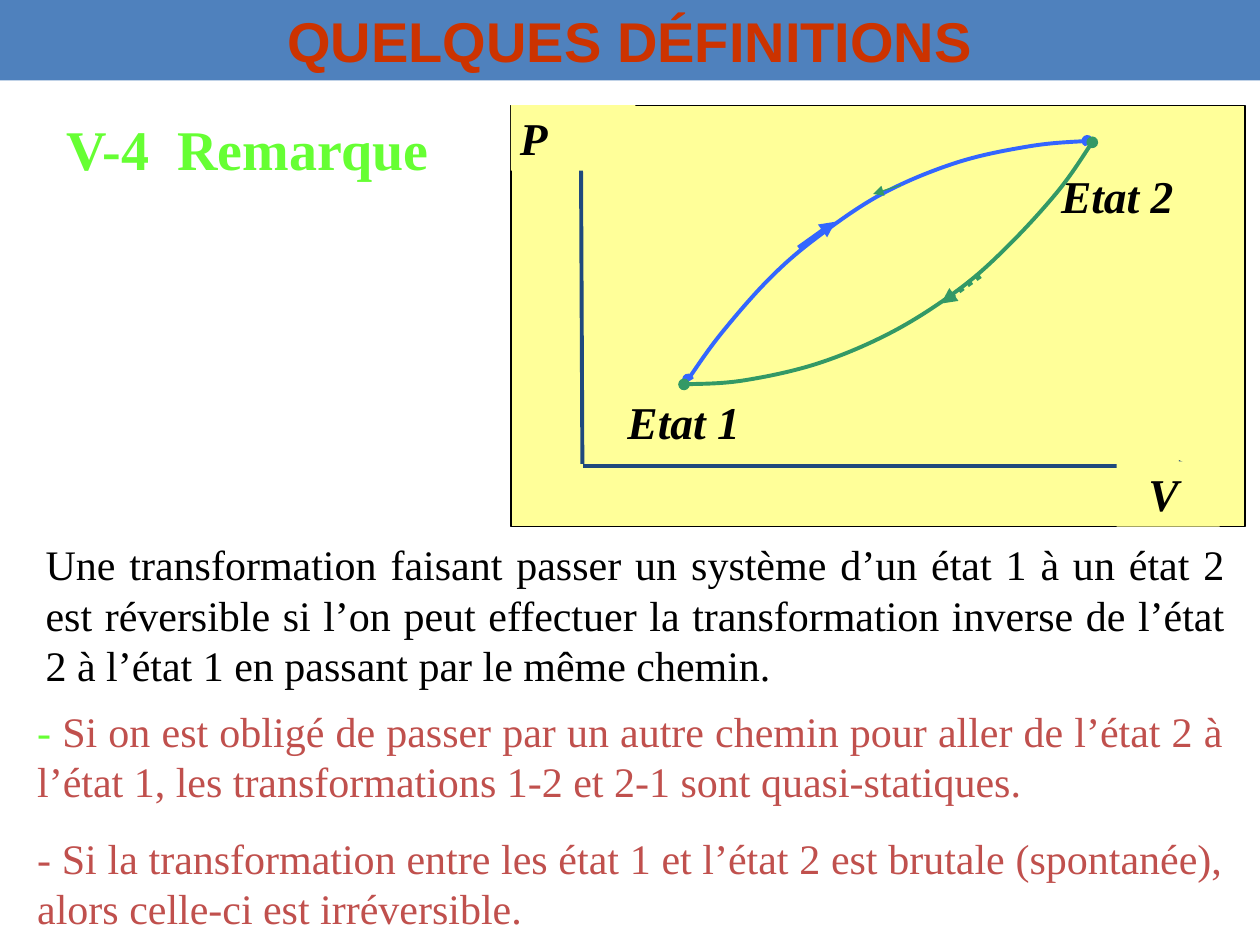
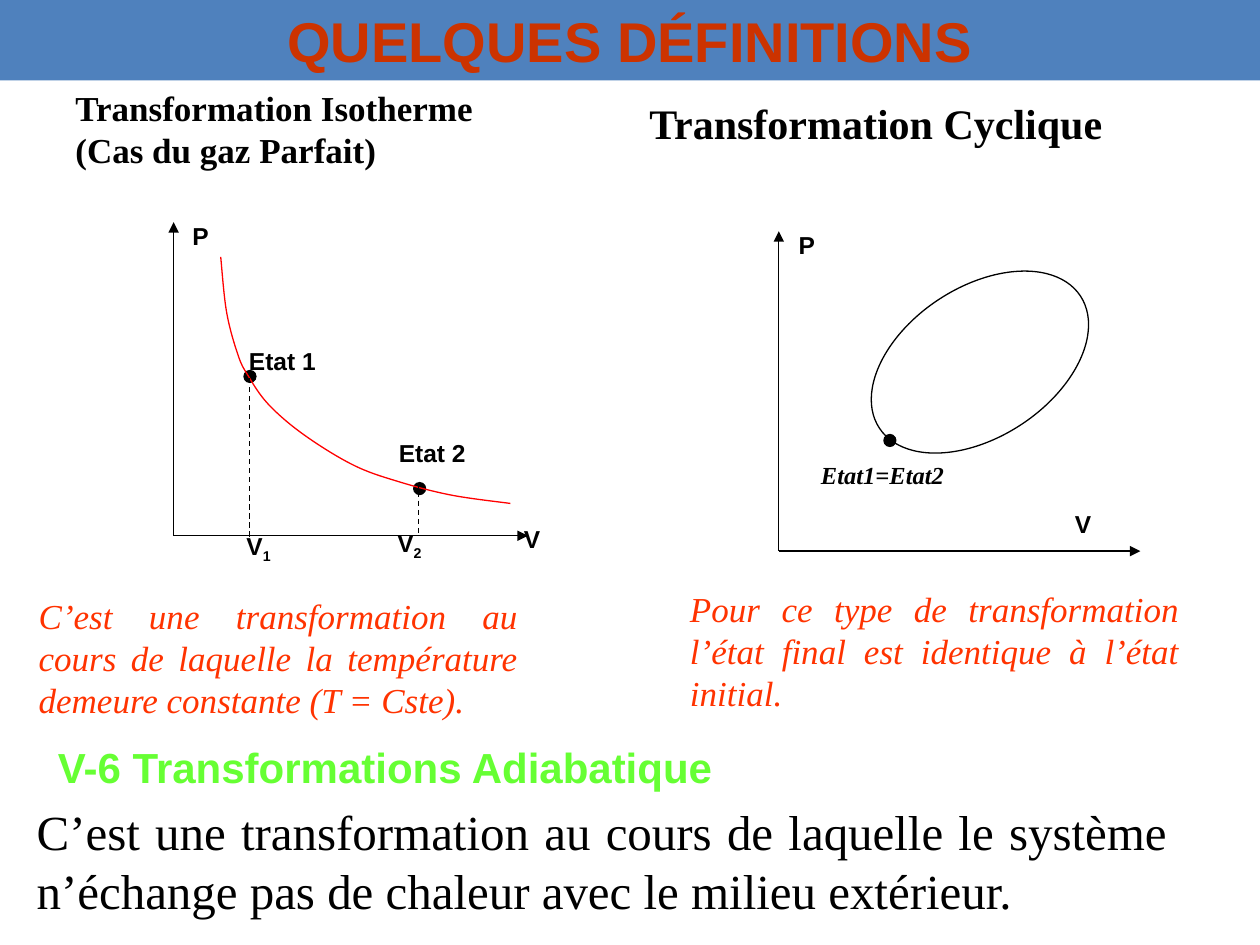
from dataclasses import dataclass

from lxml.etree import SubElement
from pptx import Presentation
from pptx.dml.color import RGBColor
from pptx.enum.dml import MSO_LINE_DASH_STYLE as Dash
from pptx.enum.shapes import MSO_CONNECTOR, MSO_SHAPE
from pptx.enum.text import MSO_ANCHOR, MSO_AUTO_SIZE, PP_ALIGN
from pptx.oxml.ns import qn
from pptx.util import Cm, Pt


@dataclass(frozen=True)
class Theme:
    serif: str = "Times New Roman"
    sans: str = "Arial"
    black: str = "000000"
    white: str = "FFFFFF"
    band: str = "4F81BD"
    title: str = "CC3300"
    heading: str = "66FF33"
    accent: str = "C0504D"
    definition: str = "FF3300"
    panel: str = "FFFF99"
    axis: str = "1F497D"
    forward: str = "3366FF"
    backward: str = "339966"
    isotherm: str = "FF0000"
    label_size: int = 14
    note_size: int = 20
    body_size: int = 24
    state_size: int = 26
    large_size: int = 28
    title_size: int = 32
    thin: float = 0.75
    medium: float = 2.25
    thick: float = 3


def bezier_segments(anchors):
    padded = [anchors[0], *anchors, anchors[-1]]
    for a, b, c, d in zip(padded, padded[1:], padded[2:], padded[3:]):
        first = tuple(q + (r - p) / 6 for p, q, r in zip(a, b, c))
        second = tuple(r - (u - q) / 6 for q, r, u in zip(b, c, d))
        yield first, second, c


class Deck:
    def __init__(self, theme):
        self.theme = theme
        self.prs = Presentation()
        self.prs.slide_width, self.prs.slide_height = Cm(25.4), Cm(19.05)
        self.s = None

    def slide(self, title):
        th = self.theme
        self.s = self.prs.slides.add_slide(self.prs.slide_layouts[5])
        sp = self.s.shapes.title
        sp.left, sp.top, sp.width, sp.height = Cm(0), Cm(-0.08), Cm(25.4), Cm(1.7)
        self.fill(sp, th.band)
        tf = sp.text_frame
        tf.text = title
        tf.auto_size = MSO_AUTO_SIZE.NONE
        tf.vertical_anchor = MSO_ANCHOR.BOTTOM
        self.insets(tf, 0.25, 0.13)
        p = tf.paragraphs[0]
        p.alignment = PP_ALIGN.CENTER
        self.font(p.runs[0], th.title_size, th.title, th.sans, bold=True)

    def fill(self, sp, color):
        sp.fill.solid()
        sp.fill.fore_color.rgb = RGBColor.from_string(color)

    def stroke(self, line, color, width):
        line.color.rgb = RGBColor.from_string(color)
        line.width = Pt(width)

    def insets(self, tf, side, end):
        tf.margin_left = tf.margin_right = Cm(side)
        tf.margin_top = tf.margin_bottom = Cm(end)

    def font(self, r, size, color, name, bold=False, italic=False):
        r.font.size, r.font.name = Pt(size), name
        r.font.bold, r.font.italic = bold, italic
        r.font.color.rgb = RGBColor.from_string(color)

    def text(self, box, lines, size, color=None, name=None, bold=False,
             italic=False, justify=False, gap=0, insets=(0.25, 0.13), tab=None):
        th = self.theme
        sp = self.s.shapes.add_textbox(*map(Cm, box))
        tf = sp.text_frame
        tf.word_wrap = True
        self.insets(tf, *insets)
        for i, line in enumerate(lines):
            p = tf.paragraphs[0] if i == 0 else tf.add_paragraph()
            p.text = line
            p.alignment = PP_ALIGN.JUSTIFY if justify else PP_ALIGN.LEFT
            if i:
                p.space_before = Pt(gap)
            if tab:
                tabs = SubElement(p._p.get_or_add_pPr(), qn("a:tabLst"))
                SubElement(tabs, qn("a:tab"), pos=str(Cm(tab)), algn="l")
            for r in p.runs:
                self.font(r, size, color or th.black, name or th.serif, bold, italic)
        return sp

    def state(self, box, label, indent=0.18):
        th = self.theme
        sp = self.text(box, [label], th.state_size, bold=True, italic=True,
                       insets=(0.18, 0.1))
        sp.text_frame.margin_left = Cm(indent)
        self.fill(sp, th.panel)

    def label(self, x, y, label, subscript=None, w=2.2):
        th = self.theme
        sp = self.text((x, y, w, 0.87), [label], th.label_size, name=th.sans,
                       bold=True, insets=(0.2, 0.1))
        if subscript:
            r = sp.text_frame.paragraphs[0].add_run()
            r.text = subscript
            self.font(r, th.label_size, th.black, th.sans, bold=True)
            r._r.get_or_add_rPr().set("baseline", "-25000")

    def shape(self, kind, box, fill, rotation=0):
        sp = self.s.shapes.add_shape(kind, *map(Cm, box))
        sp.shadow.inherit = False
        sp.rotation = rotation
        self.fill(sp, fill)
        self.stroke(sp.line, self.theme.black, self.theme.thin)

    def dot(self, x, y, d=0.24):
        self.shape(MSO_SHAPE.OVAL, (x - d / 2, y - d / 2, d, d), self.theme.black)

    def ends(self, line, head=None, tail=None):
        ln = line._get_or_add_ln()
        for tag, kind in (("a:headEnd", head), ("a:tailEnd", tail)):
            if kind:
                SubElement(ln, qn(tag), type=kind)

    def line(self, start, end, color, width, arrow=True, dash=None):
        c = self.s.shapes.add_connector(MSO_CONNECTOR.STRAIGHT, *map(Cm, start + end))
        SubElement(c._element.spPr, qn("a:effectLst"))
        self.stroke(c.line, color, width)
        if dash:
            c.line.dash_style = dash
        if arrow:
            self.ends(c.line, tail="triangle")

    def axes(self, x, y, top, right, color, width):
        self.line((x, y), (x, top), color, width)
        self.line((x, y), (right, y), color, width)

    def curve(self, anchors, color, width, fill=None, end=None):
        points = [(Cm(x), Cm(y)) for x, y in anchors]
        builder = self.s.shapes.build_freeform(*points[0])
        builder.add_line_segments(points[1:], close=False)
        sp = builder.convert_to_shape()
        segments = list(sp._element.iter(qn("a:lnTo")))
        for segment, controls in zip(segments, bezier_segments(points)):
            segment.tag = qn("a:cubicBezTo")
            segment.remove(segment[0])
            for x, y in controls:
                SubElement(segment, qn("a:pt"), x=str(round(x - sp.left)),
                           y=str(round(y - sp.top)))
        sp.shadow.inherit = False
        if fill:
            self.fill(sp, fill)
        else:
            sp.fill.background()
        self.stroke(sp.line, color, width)
        self.ends(sp.line, end, end)


def remark_slide(deck, title):
    th = deck.theme
    deck.slide(title)
    deck.shape(MSO_SHAPE.RECTANGLE, (10.3, 2.13, 14.8, 8.48), th.panel)
    deck.line((11.74, 9.35), (11.71, 2.79), th.axis, th.medium)
    deck.line((11.76, 9.39), (24, 9.39), th.axis, th.medium)
    deck.state((22.51, 9.3, 2.08, 1.32), "V", indent=0.64)
    deck.state((10.3, 2.12, 2.51, 1.32), "P")
    deck.state((12.47, 7.85, 2.79, 1.32), "Etat 1")
    deck.state((21.21, 3.29, 2.79, 1.32), "Etat 2")

    deck.curve([(13.87, 7.65), (14.55, 6.71), (15.52, 5.61), (16.48, 4.78),
                (17.78, 3.91), (19.28, 3.28), (20.75, 2.95), (21.92, 2.84)],
               th.forward, th.medium, th.panel, "oval")
    deck.line((16.1, 5), (16.84, 4.47), th.forward, th.thick)
    deck.line((18.16, 3.73), (17.6, 3.91), th.backward, th.thin)
    deck.curve([(22.02, 2.87), (21.34, 3.84), (20.35, 4.93), (19.35, 5.82),
                (18.01, 6.68), (16.51, 7.32), (14.99, 7.67), (13.79, 7.75)],
               th.backward, th.medium, th.panel, "oval")
    deck.line((19.76, 5.56), (18.97, 6.12), th.backward, th.thick,
              dash=Dash.ROUND_DOT)

    sp = deck.text((0.5, 14.09, 24.41, 4.85), [
        "Si on est obligé de passer par un autre chemin pour aller de l’état 2 à "
        "l’état 1, les transformations 1-2 et 2-1 sont quasi-statiques.",
        "- Si la transformation entre les état 1 et l’état 2 est brutale "
        "(spontanée), alors celle-ci est irréversible.",
    ], th.body_size, th.accent, justify=True, gap=15)
    p = sp.text_frame.paragraphs[0]
    sentence = p.text
    p.text = "- "
    p.add_run().text = sentence
    for r, color in zip(p.runs, (th.heading, th.accent)):
        deck.font(r, th.body_size, color, th.serif)

    deck.text((1.09, 2.18, 7.9, 1.63), ["V-4\tRemarque"], th.title_size,
              th.heading, bold=True, tab=2.24)
    deck.text((0.67, 10.73, 24.28, 3.3), [
        "Une transformation faisant passer un système d’un état 1 à un état 2 est "
        "réversible si l’on peut effectuer la transformation inverse de l’état 2 à "
        "l’état 1 en passant par le même chemin."], th.body_size, justify=True)


def transformations_slide(deck, title):
    th = deck.theme
    deck.slide(title)
    deck.text((1.27, 1.62, 8.81, 1.96),
              ["Transformation Isotherme", "(Cas du gaz Parfait)"],
              th.note_size, bold=True)
    deck.text((12.84, 1.83, 10.24, 1.27), ["Transformation Cyclique"],
              th.body_size, bold=True)
    deck.text((16.3, 9.14, 3.68, 0.86), ["Etat1=Etat2"], th.label_size,
              bold=True, italic=True)
    definitions = [
        ((0.53, 11.86, 10.16, 2.79),
         "C’est une transformation au cours de laquelle la température demeure "
         "constante (T = Cste)."),
        ((13.66, 11.71, 10.36, 2.79),
         "Pour ce type de transformation l’état final est identique à l’état "
         "initial."),
    ]
    for box, definition in definitions:
        deck.text(box, [definition], th.note_size, th.definition, italic=True,
                  justify=True)
    deck.text((0.49, 16.03, 23.29, 2.64), [
        "C’est une transformation au cours de laquelle le système n’échange pas "
        "de chaleur avec le milieu extérieur."], th.large_size, justify=True)
    deck.text((0.92, 14.82, 14.05, 1.27), ["V-6 Transformations Adiabatique"],
              th.body_size, th.heading, th.sans, bold=True)

    deck.axes(3.5, 10.8, 4.48, 10.64, th.black, th.thin)
    deck.label(4.82, 6.88, "Etat 1")
    deck.label(10.36, 10.46, "V", w=1.32)
    deck.label(3.68, 4.35, "P", w=1.2)
    deck.dot(5.04, 7.59)
    deck.dot(8.46, 9.85)
    deck.label(7.84, 8.74, "Etat 2")
    deck.label(4.77, 10.6, "V", "1", w=1.65)
    deck.label(7.81, 10.54, "V", "2", w=1.2)
    deck.curve([(4.45, 5.18), (4.57, 6.3), (4.8, 7.16), (5, 7.57), (5.41, 8.15),
                (6.12, 8.76), (7.11, 9.37), (8, 9.7), (9.09, 9.98),
                (10.29, 10.15)], th.isotherm, th.thin)
    for x, top, bottom in ((5.03, 7.62, 10.82), (8.43, 9.73, 10.74)):
        deck.line((x, top), (x, bottom), th.black, th.thin, arrow=False,
                  dash=Dash.DASH)

    deck.axes(15.7, 11.11, 4.66, 22.99, th.black, th.thin)
    deck.shape(MSO_SHAPE.OVAL, (17.33, 5.79, 4.85, 3.02), th.white, 326.7)
    deck.dot(17.94, 8.88)
    deck.label(21.47, 10.16, "V", w=1.35)
    deck.label(15.9, 4.53, "P", w=1.22)


def main():
    deck = Deck(Theme())
    title = "QUELQUES DÉFINITIONS"
    remark_slide(deck, title)
    transformations_slide(deck, title)
    deck.prs.save("out.pptx")


if __name__ == "__main__":
    main()
